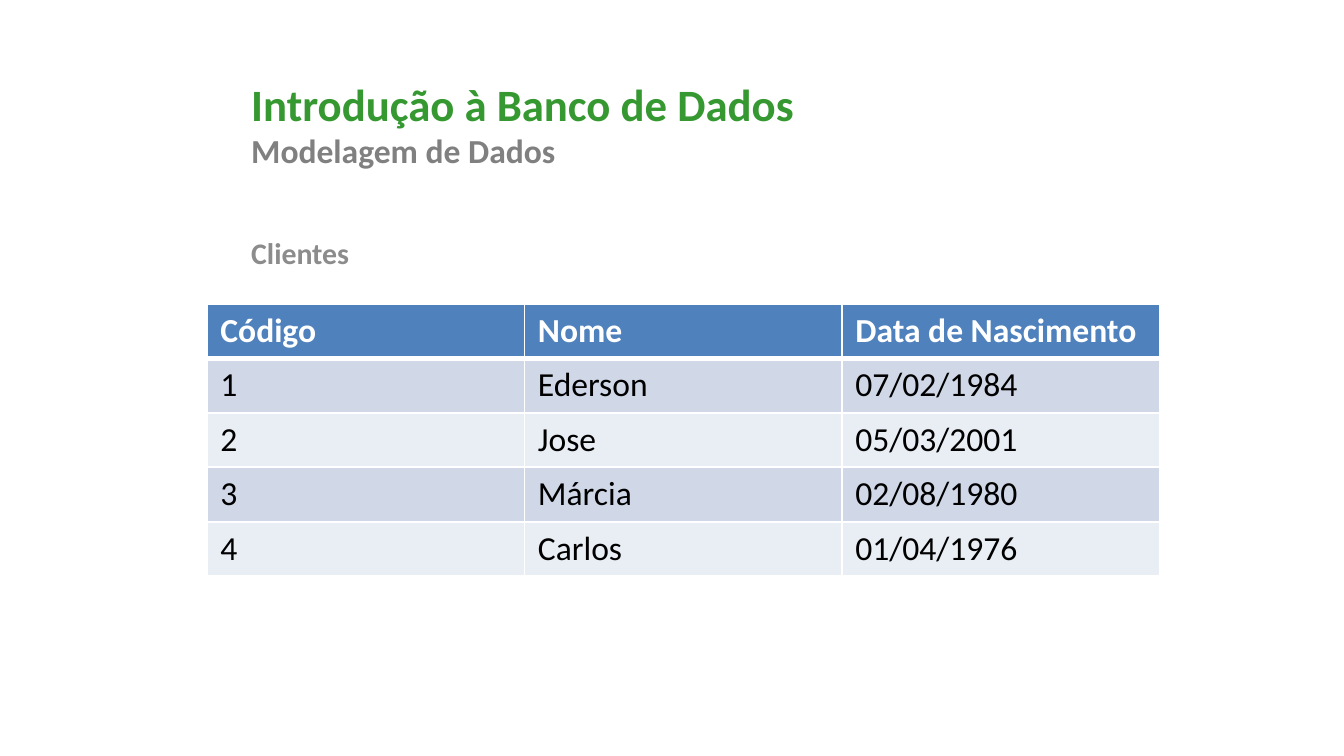
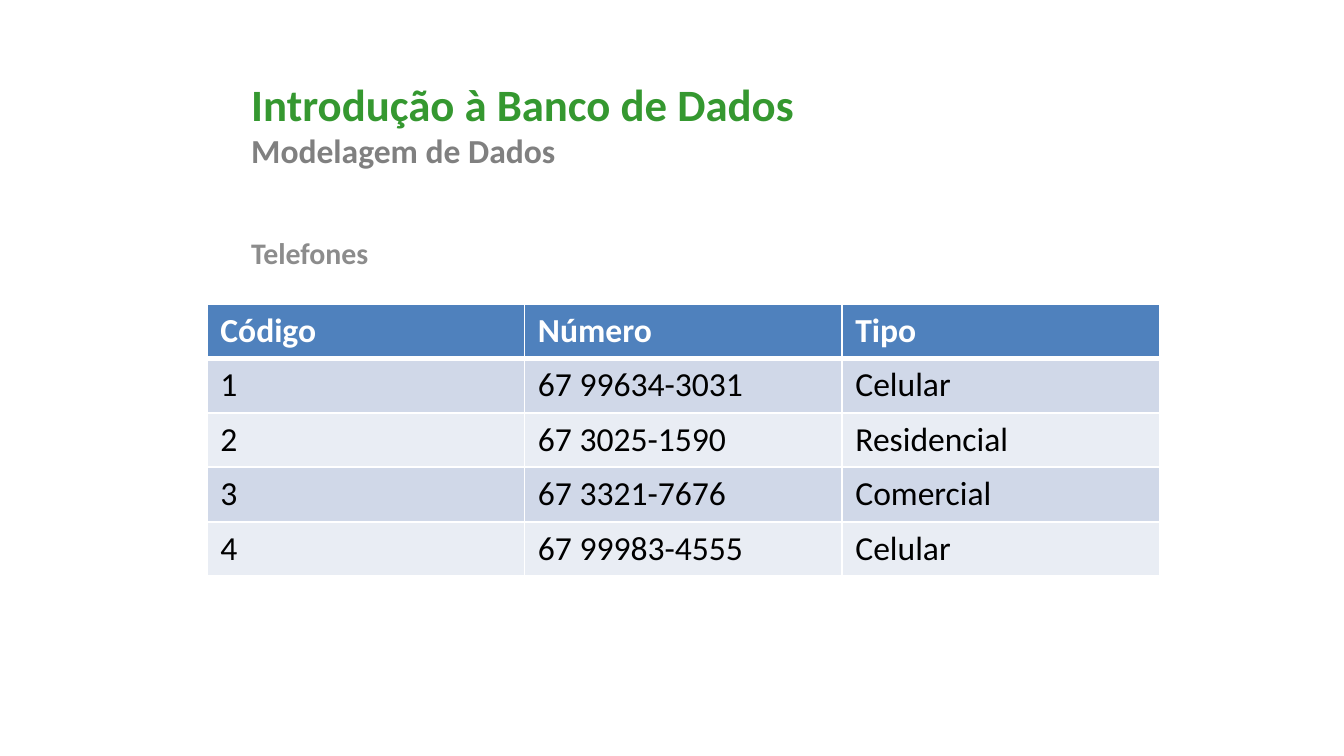
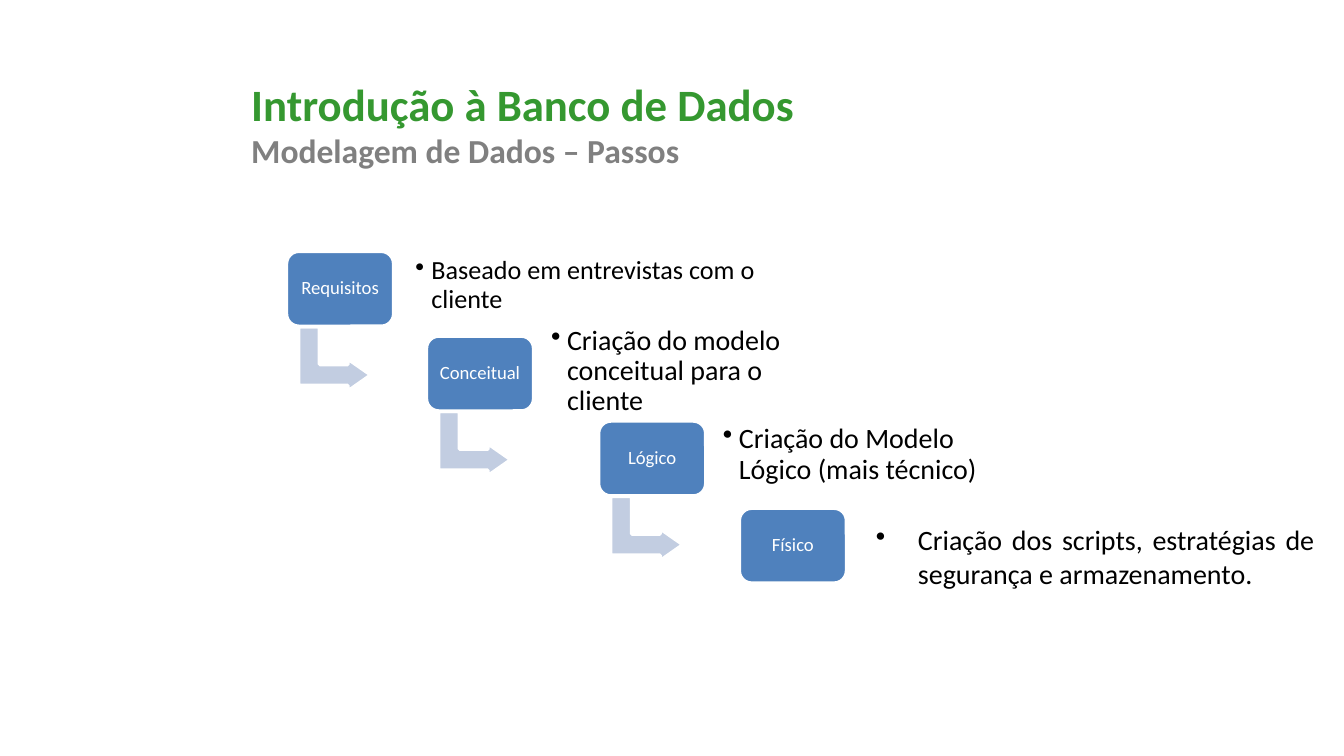
"""Builds three slides on data modelling: two sample tables and the modelling steps."""
import lxml.etree
import pptx
import pptx.dml.color
import pptx.enum.shapes
import pptx.enum.text
import pptx.oxml.ns
import pptx.util

Pt = pptx.util.Pt
ALIGN = pptx.enum.text.PP_ALIGN
ANCHOR = pptx.enum.text.MSO_ANCHOR
SHAPE = pptx.enum.shapes.MSO_SHAPE
qn = pptx.oxml.ns.qn

BLUE, PALE_BLUE, WHITE, BLACK = "4F81BD", "C2CDE1", "FFFFFF", "000000"
BAND_COLORS = ["E9EDF4", "D0D8E8"]
COURSE_STYLE = {"size": Pt(24), "bold": True, "color": "359830"}
TOPIC_STYLE = {"size": Pt(18), "bold": True, "color": "808080"}
CAPTION_STYLE = {"size": Pt(16), "bold": True, "color": "8C8C8C"}
HEADER_STYLE = {"size": Pt(18), "bold": True, "color": WHITE}
CELL_STYLE = {"size": Pt(18), "bold": False, "color": BLACK}
STEP_STYLE = {"size": Pt(10), "color": WHITE}


def rgb(code):
    return pptx.dml.color.RGBColor.from_string(code)


def write(paragraph, text, style):
    run = paragraph.add_run()
    run.text = text
    run.font.name = "Calibri"
    for key, value in style.items():
        if key == "color":
            run.font.color.rgb = rgb(value)
        else:
            setattr(run.font, key, value)


deck = pptx.Presentation()
deck.slide_width, deck.slide_height = Pt(720), Pt(405)

topics = ["Modelagem de Dados", "Modelagem de Dados", "Modelagem de Dados – Passos"]
slides = []
for topic in topics:
    slide = deck.slides.add_slide(deck.slide_layouts[6])
    heading = slide.shapes.add_textbox(Pt(127.5), Pt(37.5), Pt(556.5), Pt(74)).text_frame
    heading.word_wrap = True
    write(heading.paragraphs[0], "Introdução à Banco de Dados", COURSE_STYLE)
    heading.paragraphs[0].add_line_break()
    write(heading.paragraphs[0], topic, TOPIC_STYLE)
    slides.append(slide)

records = {
    "Clientes": [
        ["Código", "Nome", "Data de Nascimento"],
        ["1", "Ederson", "07/02/1984"],
        ["2", "Jose", "05/03/2001"],
        ["3", "Márcia", "02/08/1980"],
        ["4", "Carlos", "01/04/1976"],
    ],
    "Telefones": [
        ["Código", "Número", "Tipo"],
        ["1", "67 99634-3031", "Celular"],
        ["2", "67 3025-1590", "Residencial"],
        ["3", "67 3321-7676", "Comercial"],
        ["4", "67 99983-4555", "Celular"],
    ],
}

for slide, (entity, rows) in zip(slides, records.items()):
    caption = slide.shapes.add_textbox(Pt(127.5), Pt(122.4), Pt(278), Pt(261.4)).text_frame
    caption.word_wrap = True
    write(caption.paragraphs[0], entity, CAPTION_STYLE)

    grid = slide.shapes.add_table(
        len(rows), len(rows[0]), Pt(110.9), Pt(162.7), Pt(510.3), Pt(146)
    ).table
    for column in grid.columns:
        column.width = Pt(170.1)
    for row_index, row in enumerate(rows):
        grid.rows[row_index].height = Pt(29.2)
        for column_index, value in enumerate(row):
            cell = grid.cell(row_index, column_index)
            write(cell.text_frame.paragraphs[0], value, CELL_STYLE if row_index else HEADER_STYLE)
            for edge in ["lnL", "lnR", "lnT", "lnB"]:
                under_header = (row_index, edge) in [(0, "lnB"), (1, "lnT")]
                border = lxml.etree.SubElement(
                    cell._tc.get_or_add_tcPr(), qn(f"a:{edge}"), w=str(Pt(3 if under_header else 1))
                )
                ink = lxml.etree.SubElement(border, qn("a:solidFill"))
                lxml.etree.SubElement(ink, qn("a:srgbClr"), val=WHITE)
            cell.fill.solid()
            cell.fill.fore_color.rgb = rgb(BAND_COLORS[row_index % 2] if row_index else BLUE)

tight = {"indent": 8.6, "align": ALIGN.LEFT, "spacing": 0.9, "anchor": ANCHOR.MIDDLE, "inset": (4.3, 4.3)}
loose = {"indent": 22.5, "align": ALIGN.JUSTIFY, "spacing": 1.0, "anchor": ANCHOR.TOP, "inset": (7.2, 3.6)}
steps = [
    ("Requisitos", 153.4, 134.6, "Baseado em entrevistas com o cliente", 14, (218.2, 136.8, 192.2, 32.4), tight),
    ("Conceitual", 228.4, 180, "Criação do modelo conceitual para o cliente", 15, (290.9, 182.9, 147.6, 32.4), tight),
    ("Lógico", 320.6, 225.5, "Criação do Modelo Lógico (mais técnico)", 15, (383, 227.5, 150.5, 32.4), tight),
    ("Físico", 396, 272.2, "Criação dos scripts, estratégias de segurança e armazenamento.", 15,
     (462.2, 276.5, 249.1, 43.9), loose),
]
stairs = slides[-1].shapes
for step, left, top, detail, detail_size, detail_area, layout in steps:
    parts = [(SHAPE.ROUNDED_RECTANGLE, left, top, 57.6, 40.3, 0, [0.167], BLUE)]
    if step != steps[-1][0]:
        parts.insert(
            0, (SHAPE.BENT_UP_ARROW, left + 8.6, top + 38.2, 34.6, 38.9, 90, [0.328, 0.25, 0.358], PALE_BLUE)
        )
    for kind, x, y, width, height, rotation, adjustments, color in parts:
        block = stairs.add_shape(kind, Pt(x), Pt(y), Pt(width), Pt(height))
        block.shadow.inherit = False
        block.rotation = rotation
        for index, adjustment in enumerate(adjustments):
            block.adjustments[index] = adjustment
        block.fill.solid()
        block.fill.fore_color.rgb = rgb(color)
        block.line.color.rgb = rgb(WHITE)
        block.line.width = Pt(2)

    label = block.text_frame
    label.word_wrap = True
    label.vertical_anchor = ANCHOR.MIDDLE
    label.margin_left = label.margin_right = Pt(4)
    label.paragraphs[0].alignment = ALIGN.CENTER
    label.paragraphs[0].line_spacing = 0.9
    write(label.paragraphs[0], step, STEP_STYLE)

    note = stairs.add_textbox(*map(Pt, detail_area)).text_frame
    note.word_wrap = True
    note.vertical_anchor = layout["anchor"]
    side, edge = layout["inset"]
    note.margin_left = note.margin_right = Pt(side)
    note.margin_top = note.margin_bottom = Pt(edge)
    bullet = note.paragraphs[0]
    bullet.alignment = layout["align"]
    bullet.line_spacing = layout["spacing"]
    write(bullet, detail, {"size": Pt(detail_size), "color": BLACK})
    properties = bullet._p.get_or_add_pPr()
    properties.set("marL", str(Pt(layout["indent"])))
    properties.set("indent", str(-Pt(layout["indent"])))
    lxml.etree.SubElement(properties, qn("a:buChar"), char="•")

deck.save("out.pptx")
